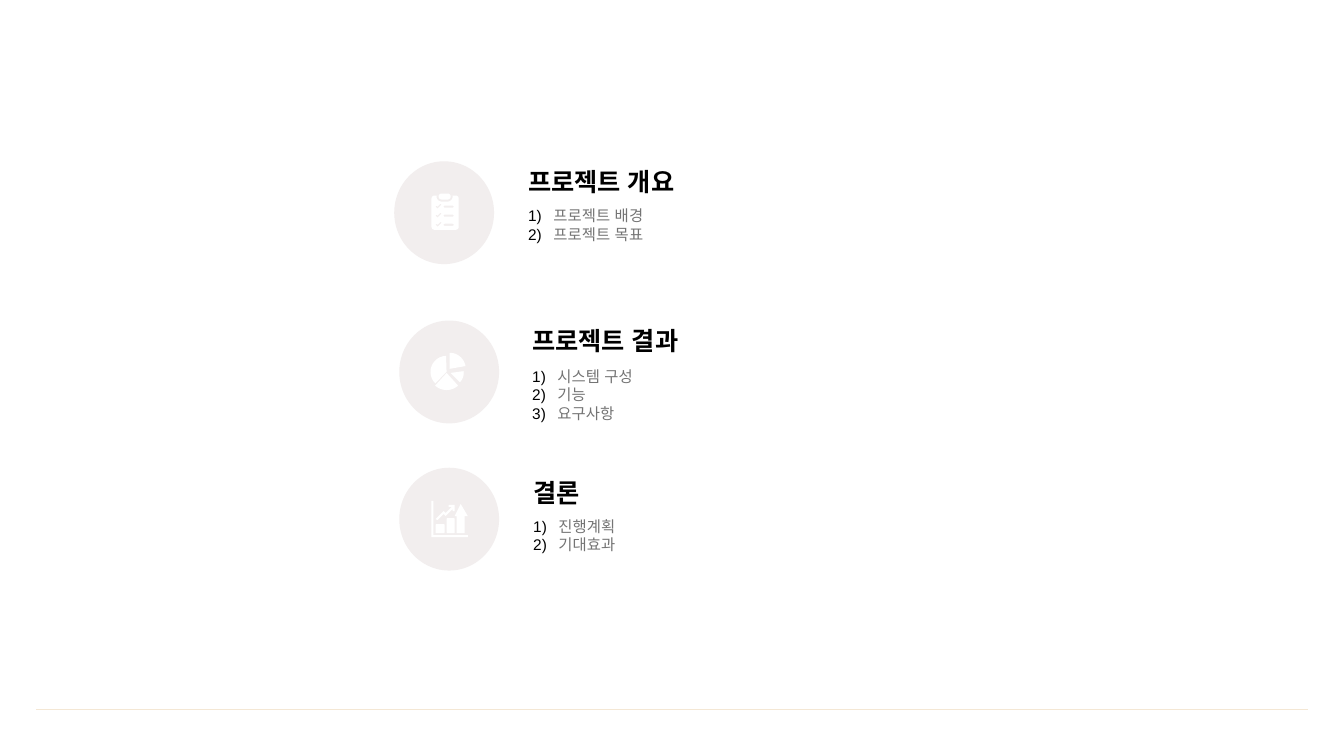
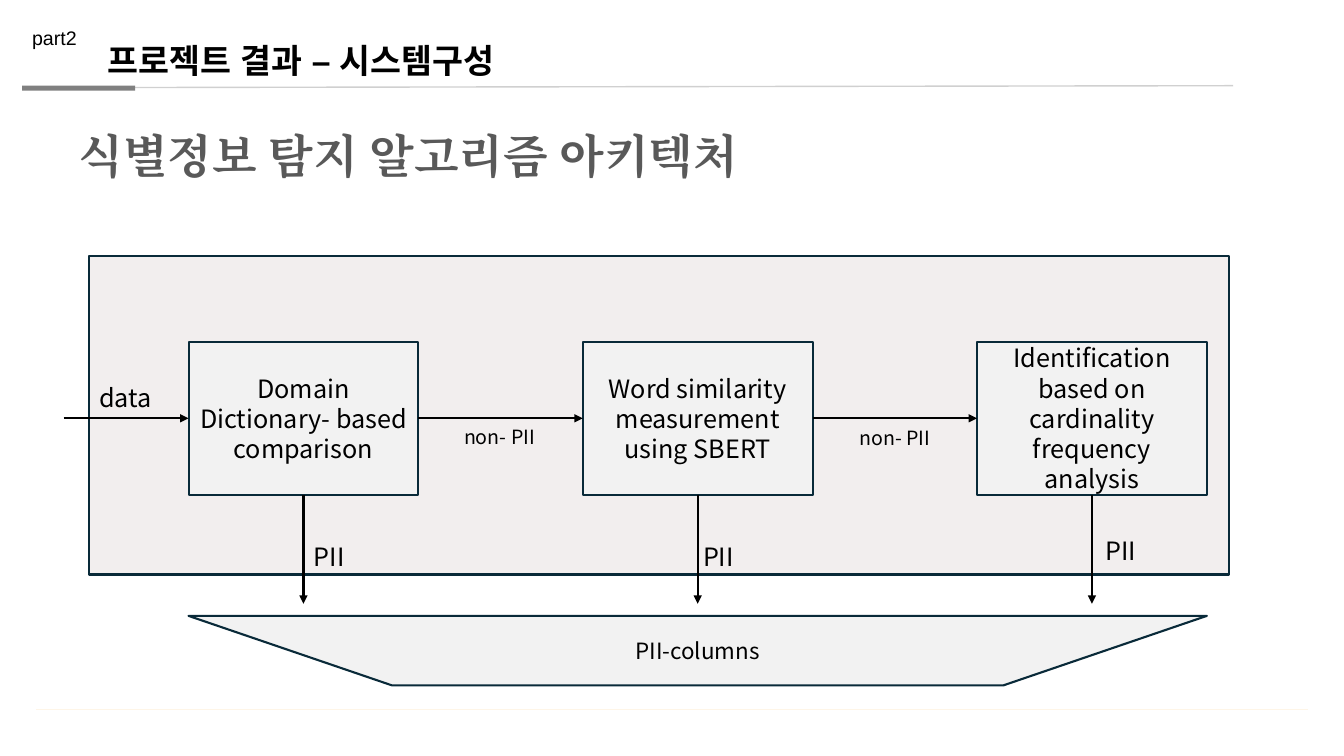
from math import cos, radians, sin

from lxml.etree import SubElement
from pptx import Presentation
from pptx.dml.color import RGBColor
from pptx.enum.shapes import MSO_CONNECTOR, MSO_SHAPE
from pptx.enum.text import MSO_ANCHOR, MSO_AUTO_SIZE, PP_ALIGN
from pptx.oxml.ns import qn
from pptx.util import Inches, Pt

COLORS = {
    "black": "000000",
    "white": "FFFFFF",
    "gray": "808080",
    "item": "747474",
    "title": "595959",
    "rule": "D0D0D0",
    "panel": "F2EEEE",
    "box": "F2F2F2",
    "outline": "092A39",
    "footer_agenda": "F4E7D4",
    "footer_content": "FEF5E7",
}
CJK = "Noto Sans CJK KR"
FORMATS = {
    "heading": {"name": "Arial", "size": Pt(18), "bold": True},
    "item": {"name": "Arial", "size": Pt(11)},
    "part": {"name": "Arial", "size": Pt(14)},
    "section": {"name": "Arial", "size": Pt(24), "bold": True},
    "title": {"name": "TeX Gyre Pagella", "size": Pt(33), "bold": True},
    "label": {"name": CJK, "size": Pt(18)},
    "small": {"name": CJK, "size": Pt(14)},
    "result": {"name": CJK, "size": Pt(16)},
}
GROWING = {"word_wrap": True, "auto_size": MSO_AUTO_SIZE.SHAPE_TO_FIT_TEXT}
UNPADDED = {"word_wrap": False, "margin_left": 0, "margin_top": 0,
            "margin_right": 0, "margin_bottom": 0}
UNITS_PER_INCH = 10000


def rgb(name):
    return RGBColor.from_string(COLORS[name])


def apply(target, values):
    for key, value in values.items():
        setattr(target, key, value)


def paint(sp, fill, line=None):
    sp.shadow.inherit = False
    sp.fill.solid()
    sp.fill.fore_color.rgb = rgb(fill)
    if line:
        sp.line.color.rgb = rgb(line)
        sp.line.width = Pt(1.5)
    else:
        sp.line.fill.background()


def add_run(p, text, style, color="black"):
    r = p.add_run()
    r.text = text
    apply(r.font, FORMATS[style])
    r.font.color.rgb = rgb(color)
    SubElement(r.font._element, qn("a:ea"), typeface=r.font.name)


def shape(s, kind, at, fill, line=None, text=None, style="label"):
    sp = s.shapes.add_shape(kind, *map(Inches, at))
    paint(sp, fill, line)
    if text:
        tf = sp.text_frame
        apply(tf, {"word_wrap": True, "vertical_anchor": MSO_ANCHOR.MIDDLE})
        p = tf.paragraphs[0]
        p.alignment = PP_ALIGN.CENTER
        add_run(p, text, style)
    return sp


def text_box(s, at, text, style, color="black", frame=GROWING, **paragraph):
    tf = s.shapes.add_textbox(*map(Inches, at)).text_frame
    apply(tf, frame)
    p = tf.paragraphs[0]
    apply(p, paragraph)
    add_run(p, text, style, color)


def numbered_list(s, at, items):
    tf = s.shapes.add_textbox(*map(Inches, at)).text_frame
    apply(tf, GROWING)
    for i, item in enumerate(items):
        p = tf.add_paragraph() if i else tf.paragraphs[0]
        pPr = p._p.get_or_add_pPr()
        pPr.set("marL", str(Inches(0.25)))
        pPr.set("indent", str(-Inches(0.25)))
        SubElement(SubElement(pPr, qn("a:buClr")), qn("a:srgbClr"), val=COLORS["black"])
        SubElement(pPr, qn("a:buFont"), typeface=CJK)
        SubElement(pPr, qn("a:buAutoNum"), type="arabicParenR")
        add_run(p, item, "item", "item")


def line(s, start, end, color, width):
    cn = s.shapes.add_connector(MSO_CONNECTOR.STRAIGHT, *map(Inches, start + end))
    cn.line.color.rgb = rgb(color)
    cn.line.width = Pt(width)
    SubElement(cn._element.spPr, qn("a:effectLst"))
    return cn


def arrow(s, start, end, source=None, target=None):
    cn = line(s, start, end, "black", 1.5)
    SubElement(cn.line._get_or_add_ln(), qn("a:tailEnd"), type="triangle")
    if source:
        cn.begin_connect(*source)
    if target:
        cn.end_connect(*target)


def arc(cx, cy, r, start, end, steps=12):
    angles = [radians(start + (end - start) * i / steps) for i in range(steps + 1)]
    return [(cx + r * cos(a), cy + r * sin(a)) for a in angles]


def rounded(x, y, w, h, r):
    corners = [(x + r, y + r, 180), (x + w - r, y + r, 270),
               (x + w - r, y + h - r, 0), (x + r, y + h - r, 90)]
    return [pt for cx, cy, a in corners for pt in arc(cx, cy, r, a, a + 90, 6)]


def wedge(cx, cy, r, start, end):
    return [(cx, cy)] + arc(cx, cy, r, start, end)


def outline(s, contours):
    first, *holes = [[(x * UNITS_PER_INCH, y * UNITS_PER_INCH) for x, y in contour]
                     for contour in contours]
    fb = s.shapes.build_freeform(*first[0], scale=Inches(1) / UNITS_PER_INCH)
    fb.add_line_segments(first[1:], close=True)
    for hole in holes:
        fb.move_to(*hole[0])
        fb.add_line_segments(hole[1:], close=True)
    paint(fb.convert_to_shape(), "white")


def clipboard_icon():
    notch = [(4.33, 1.94), *arc(4.38, 1.95, 0.05, 180, 90),
             *arc(4.44, 1.95, 0.05, 90, 0), (4.49, 1.94)]
    sheet = [rounded(4.28, 1.94, 0.27, 0.34, 0.03), notch]
    for y in (2.05, 2.14, 2.23):
        sheet.append([(4.32, y), (4.33, y - 0.01), (4.34, y), (4.37, y - 0.03),
                      (4.38, y - 0.02), (4.34, y + 0.02)])
        sheet.append(rounded(4.4, y - 0.01, 0.1, 0.02, 0.01))
    return [[rounded(4.35, 1.92, 0.12, 0.06, 0.03)], sheet]


def pie_icon():
    wedges = [(4.46, 3.66, 0.16, -90, -10), (4.43, 3.7, 0.17, 48, 132),
              (4.47, 3.7, 0.13, -8, 45), (4.43, 3.69, 0.16, 135, 268)]
    return [[wedge(*w)] for w in wedges]


def growth_icon():
    trend = [(4.32, 5.15), (4.4, 5.07), (4.42, 5.09), (4.48, 5.03), (4.45, 5.03),
             (4.45, 5.01), (4.51, 5.01), (4.51, 5.07), (4.49, 5.07), (4.49, 5.05),
             (4.42, 5.12), (4.4, 5.1), (4.34, 5.16)]
    rise = [(4.57, 5), (4.64, 5.12), (4.61, 5.12), (4.61, 5.29), (4.53, 5.29),
            (4.53, 5.12), (4.51, 5.12)]
    axes = [(4.28, 4.97), (4.3, 4.97), (4.3, 5.31), (4.64, 5.31), (4.64, 5.33),
            (4.28, 5.33)]
    bars = [rounded(4.32, 5.2, 0.09, 0.09, 0.01), rounded(4.43, 5.14, 0.08, 0.15, 0.01)]
    return [[contour] for contour in [trend, *bars, rise, axes]]


def new_slide(prs, footer):
    s = prs.slides.add_slide(prs.slide_layouts[6])
    line(s, (0.36, 7.04), (12.97, 7.04), footer, 0.75)
    return s


def agenda_entry(s, circle, text_x, heading_y, list_at, heading, items, icon):
    shape(s, MSO_SHAPE.OVAL, (*circle, 0.99, 1.02), "panel")
    for contours in icon:
        outline(s, contours)
    list_y, list_h = list_at
    numbered_list(s, (text_x, list_y, 4.31, list_h), items)
    text_box(s, (text_x, heading_y, 4.3, 0.4), heading, "heading")


def agenda_slide(prs):
    s = new_slide(prs, "footer_agenda")
    agenda_entry(s, (3.91, 1.6), 5.14, 1.6, (2, 0.47), "프로젝트 개요",
                 ["프로젝트 배경", "프로젝트 목표"], clipboard_icon())
    agenda_entry(s, (3.96, 3.18), 5.18, 3.18, (3.59, 0.84), "프로젝트 결과",
                 ["시스템 구성", "기능", "요구사항"], pie_icon())
    agenda_entry(s, (3.96, 4.64), 5.19, 4.69, (5.08, 0.66), "결론",
                 ["진행계획", "기대효과"], growth_icon())


def header(s, part, section, title):
    line(s, (0.45, 0.87), (12.23, 0.85), "rule", 1)
    shape(s, MSO_SHAPE.RECTANGLE, (0.22, 0.85, 1.12, 0.05), "gray")
    text_box(s, (0.22, 0.21, 0.86, 0.34), part, "part")
    text_box(s, (0.97, 0.35, 8.44, 0.5), section, "section")
    text_box(s, (0.78, 1.49, 6.99, 0.65), title, "title", "title", UNPADDED,
             line_spacing=Pt(22.9))


def architecture_slide(prs):
    s = new_slide(prs, "footer_content")
    header(s, "part2", "프로젝트 결과 – 시스템구성", "식별정보 탐지 알고리즘 아키텍처")
    shape(s, MSO_SHAPE.RECTANGLE, (0.88, 2.54, 11.31, 3.16), "panel", "outline")

    left, top, width, height, pitch = 1.87, 3.39, 2.28, 1.52, 3.91
    middle, bottom = top + height / 2, top + height
    steps = ["Domain Dictionary- based comparison",
             "Word similarity measurement using SBERT",
             "Identification based on cardinality frequency analysis"]
    boxes = [shape(s, MSO_SHAPE.RECTANGLE, (left + i * pitch, top, width, height),
                   "box", "outline", step) for i, step in enumerate(steps)]

    arrow(s, (0.63, middle), (left, middle), target=(boxes[0], 1))
    for i, (a, b) in enumerate(zip(boxes, boxes[1:])):
        x = left + i * pitch
        arrow(s, (x + width, middle), (x + pitch, middle), (a, 3), (b, 1))
    for i, box in enumerate(boxes):
        x = left + i * pitch + width / 2
        arrow(s, (x, bottom), (x, 5.99), source=(box, 2))

    labels = [((0.22, 3.74, 2.05, 0.4), "data", "label"),
              ((3.87, 4.17, 2.17, 0.34), "non- PII", "small"),
              ((7.79, 4.18, 2.17, 0.34), "non- PII", "small"),
              ((2.18, 5.32, 2.17, 0.4), "PII", "label"),
              ((6.04, 5.32, 2.17, 0.4), "PII", "label"),
              ((10.03, 5.26, 2.17, 0.4), "PII", "label")]
    for at, text, style in labels:
        text_box(s, at, text, style, alignment=PP_ALIGN.CENTER)
    shape(s, MSO_SHAPE.FLOWCHART_MANUAL_OPERATION, (left, 6.11, 10.1, 0.69),
          "box", "outline", "PII-columns", "result")


def main():
    prs = Presentation()
    prs.slide_width, prs.slide_height = Inches(13.33), Inches(7.5)
    agenda_slide(prs)
    architecture_slide(prs)
    prs.save("out.pptx")


if __name__ == "__main__":
    main()
